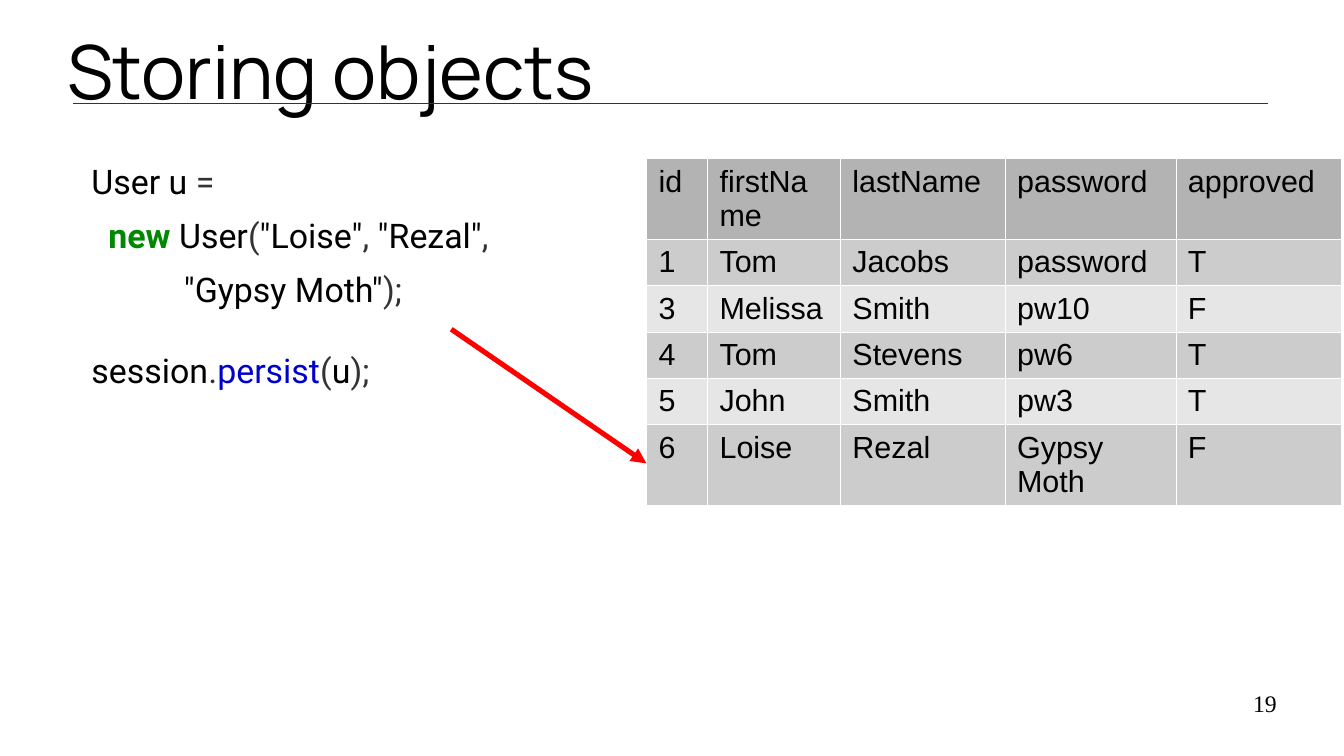
from lxml import etree
from pptx import Presentation
from pptx import util as u
from pptx.dml import color
from pptx.enum import shapes, text
from pptx.oxml import ns

SLIDE_COLUMNS, SLIDE_ROWS = 110.2, 62
HEADER = ["id", "firstName", "lastName", "password", "approved"]
USERS = [
    ["1", "Tom", "Jacobs", "password", "T"],
    ["3", "Melissa", "Smith", "pw10", "F"],
    ["4", "Tom", "Stevens", "pw6", "T"],
    ["5", "John", "Smith", "pw3", "T"],
    ["6", "Loise", "Rezal", "Gypsy Moth", "F"],
]
PLAIN, MARK, KEYWORD, METHOD = "000000", "333333", "008800", "0000CC"
CODE = [
    (0, [("User u ", PLAIN), ("=", MARK)]),
    (5, [("  new", KEYWORD), (" User", PLAIN), ("(", MARK), ('"Loise"', PLAIN),
         (",", MARK), (' "Rezal"', PLAIN), (",", MARK)]),
    (5, [('           "Gypsy Moth"', PLAIN), (");", MARK)]),
    (20.8, [("session", PLAIN), (".", MARK), ("persist", METHOD), ("(", MARK),
            ("u", PLAIN), (");", MARK)]),
]


def grid(steps):
    return u.Inches(steps / 10)


def rgb(value):
    return color.RGBColor.from_string(value)


def write(paragraph, words, font="Arial", size=18, ink=PLAIN, bold=False, align=text.PP_ALIGN.LEFT):
    paragraph.alignment = align
    run = paragraph.add_run()
    run.text = words
    run.font.name = font
    run.font.size = u.Pt(size)
    run.font.bold = bold
    run.font.color.rgb = rgb(ink)


def add_xml(parent, tag, **attributes):
    return etree.SubElement(parent, ns.qn(tag), **attributes)


class Deck:
    code_font = "Roboto"
    bands = ["CCCCCC", "E6E6E6"]
    header_fill = "B3B3B3"

    def __init__(self):
        self.show = Presentation()
        self.show.slide_width = grid(SLIDE_COLUMNS)
        self.show.slide_height = grid(SLIDE_ROWS)
        self.slide = self.show.slides.add_slide(self.show.slide_layouts[5])

    def frame(self, holder, anchor=text.MSO_ANCHOR.TOP):
        body = holder.text_frame
        body.margin_left = body.margin_right = body.margin_top = body.margin_bottom = 0
        body.word_wrap = True
        body.auto_size = text.MSO_AUTO_SIZE.NONE
        body.vertical_anchor = anchor
        return body

    def title(self, words, *place):
        heading = self.slide.shapes.title
        heading.left, heading.top, heading.width, heading.height = map(grid, place)
        body = self.frame(heading, text.MSO_ANCHOR.MIDDLE)
        write(body.paragraphs[0], words, font="Manrope", size=44)

    def box(self, *place):
        return self.frame(self.slide.shapes.add_textbox(*map(grid, place)))

    def code(self, lines, *place):
        body = self.box(*place)
        for index, (before, pieces) in enumerate(lines):
            line = body.add_paragraph() if index else body.paragraphs[0]
            line.space_before, line.space_after = u.Pt(before), u.Pt(2.9)
            for words, ink in pieces:
                write(line, words, font=self.code_font, size=20, ink=ink, bold=ink == KEYWORD)

    def number(self, words, *place):
        write(self.box(*place).paragraphs[0], words, font="Times New Roman", size=14,
              align=text.PP_ALIGN.RIGHT)

    def line(self, *ends, ink, width, arrow=False):
        rule = self.slide.shapes.add_connector(shapes.MSO_CONNECTOR.STRAIGHT, *map(grid, ends))
        rule.line.color.rgb = rgb(ink)
        rule.line.width = u.Pt(width)
        properties = rule._element.spPr
        if arrow:
            add_xml(properties.find(ns.qn("a:ln")), "a:tailEnd", type="triangle")
        add_xml(properties, "a:effectLst")

    def borders(self, cell):
        properties = cell._tc.get_or_add_tcPr()
        for side in "LRTB":
            edge = add_xml(properties, f"a:ln{side}", w=str(u.Pt(0.06)))
            add_xml(add_xml(edge, "a:solidFill"), "a:srgbClr", val="FFFFFF")

    def table(self, rows, left, top, widths, row_height):
        users = self.slide.shapes.add_table(
            len(rows), len(widths), grid(left), grid(top),
            grid(sum(widths)), grid(row_height * len(rows))).table
        for column, width in zip(users.columns, widths):
            column.width = grid(width)
        for index, (row, values) in enumerate(zip(users.rows, rows)):
            row.height = grid(row_height)
            for cell, value in zip(row.cells, values):
                self.borders(cell)
                cell.fill.solid()
                shade = self.bands[(index - 1) % 2] if index else self.header_fill
                cell.fill.fore_color.rgb = rgb(shade)
                write(cell.text_frame.paragraphs[0], value)


def main():
    deck = Deck()
    deck.line(6, 8.5, 104, 8.5, ink=MARK, width=1)
    deck.title("Storing objects", 5.5, 1.6, 99.2, 8.3)
    deck.code(CODE, 7.5, 13.2, 46.4, 40.8)
    deck.table([HEADER] + USERS, 53, 13, [5, 10.9, 13.5, 14, 13.6], 3.8)
    deck.line(37, 27, 53, 38, ink="FF0000", width=3, arrow=True)
    deck.number("19", 79, 56.5, 25.7, 4.3)
    deck.show.save("out.pptx")


if __name__ == "__main__":
    main()
